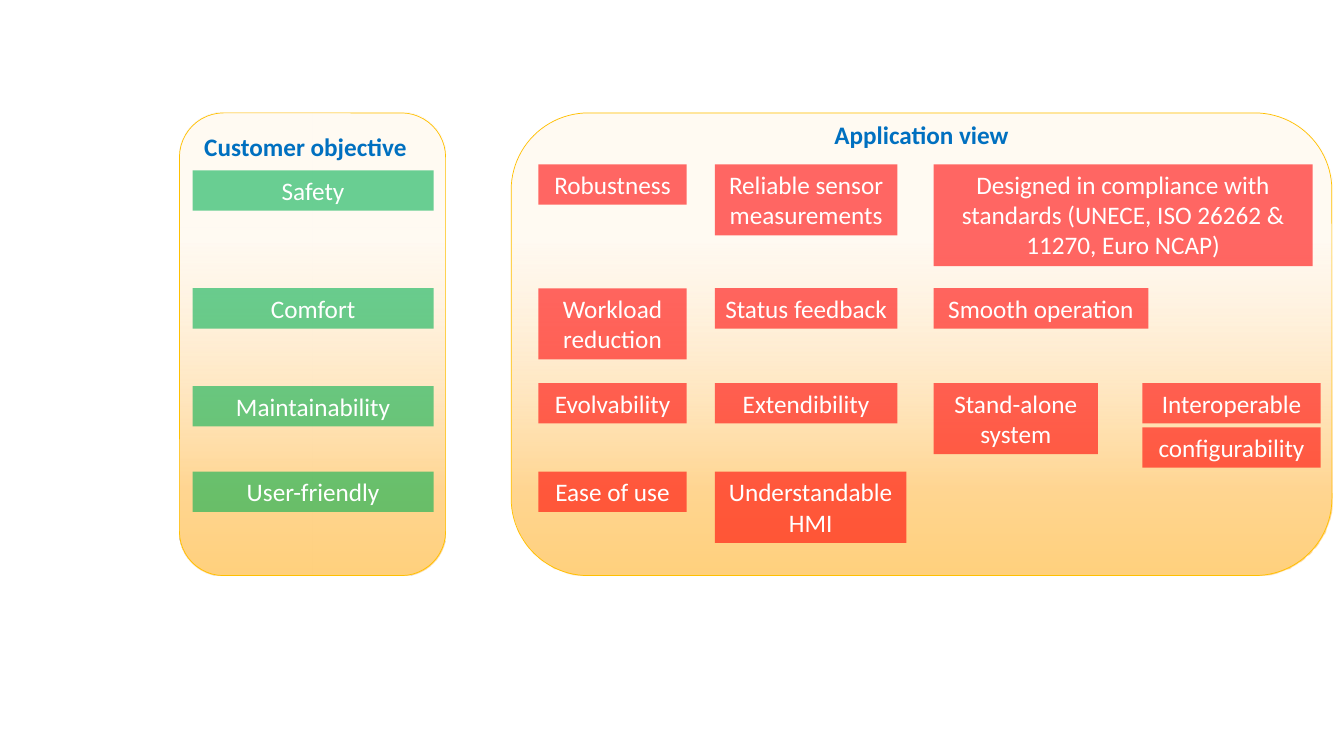
from typing import NamedTuple

from lxml import etree
from pptx import Presentation
from pptx.dml.color import RGBColor
from pptx.enum.shapes import MSO_SHAPE
from pptx.enum.text import MSO_ANCHOR, MSO_AUTO_SIZE, PP_ALIGN
from pptx.oxml.ns import qn
from pptx.util import Inches, Pt

RECT, ROUND = MSO_SHAPE.RECTANGLE, MSO_SHAPE.ROUNDED_RECTANGLE
TOP, CENTER = MSO_ANCHOR.TOP, PP_ALIGN.CENTER
GROW = MSO_AUTO_SIZE.SHAPE_TO_FIT_TEXT

FONT = "Calibri"
WHITE = RGBColor(0xFF, 0xFF, 0xFF)
BLUE = RGBColor(0x00, 0x70, 0xC0)
GOLD = RGBColor(0xFF, 0xC0, 0x00)
GREEN = RGBColor(0x00, 0xB0, 0x50)
RED = RGBColor(0xFF, 0x00, 0x00)
CREAM = RGBColor(0xFF, 0xE7, 0xC4)
SAND = RGBColor(0xFF, 0xD5, 0x90)
AMBER = RGBColor(0xFF, 0xD0, 0x7C)

# Gradient stops: position, colour, opacity (percent)
STOPS = [(28, CREAM, 22), (82, SAND, 100), (100, AMBER, 100)]
PANEL_TOP, PANEL_HEIGHT = 1.12, 4.59
ROWS = [1.63, 2.86, 3.8, 4.68]
COLS = [5.34, 7.09, 9.26, 11.33]
LINE, STEP = 0.4, 0.305


class Panel(NamedTuple):
    left: float
    width: float
    title: str
    title_left: float
    title_top: float
    title_width: float


class Label(NamedTuple):
    text: str
    left: float
    top: float
    width: float
    color: RGBColor = RED
    lines: int = 1


PANELS = [
    Panel(1.78, 2.64, "Customer objective", 1.71, 1.25, 2.64),
    Panel(5.07, 8.14, "Application view", 8, 1.13, 2.28),
]
GOALS = [
    Label(text, 1.91, top, 2.39, GREEN)
    for text, top in [("Safety", 1.69), ("Comfort", 2.86),
                      ("Maintainability", 3.83), ("User-friendly", 4.68)]
]
NEEDS = [
    Label("Robustness", COLS[0], ROWS[0], 1.47),
    Label("Reliable sensor measurements", COLS[1], ROWS[0], 1.81, lines=2),
    Label("Designed in compliance with standards "
          "(UNECE, ISO 26262 & 11270, Euro NCAP)",
          COLS[2], ROWS[0], 3.76, lines=3),
    Label("Workload reduction", COLS[0], ROWS[1], 1.47, lines=2),
    Label("Status feedback", COLS[1], ROWS[1], 1.81),
    Label("Smooth operation", COLS[2], ROWS[1], 2.13),
    Label("Evolvability", COLS[0], ROWS[2], 1.47),
    Label("Extendibility", COLS[1], ROWS[2], 1.81),
    Label("Stand-alone system", COLS[2], ROWS[2], 1.63, lines=2),
    Label("Interoperable", COLS[3], ROWS[2], 1.77),
    Label("configurability", COLS[3], ROWS[2] + 0.44, 1.77),
    Label("Ease of use", COLS[0], ROWS[3], 1.47),
    Label("Understandable HMI", COLS[1], ROWS[3], 1.9, lines=2),
]


def set_alpha(color, percent: int) -> None:
    """Give a colour element its opacity."""
    etree.SubElement(color, qn("a:alpha"), val=str(percent * 1000))


def set_text(shape, text: str, color: RGBColor, bold: bool = False) -> None:
    frame = shape.text_frame
    frame.text = text
    frame.word_wrap = True
    frame.auto_size = GROW
    frame.vertical_anchor = TOP
    para = frame.paragraphs[0]
    para.alignment = CENTER
    font = para.runs[0].font
    font.name, font.size, font.bold = FONT, Pt(18), bold
    font.color.rgb = color


def draw_panel(slide, panel: Panel) -> None:
    shape = slide.shapes.add_shape(
        ROUND, Inches(panel.left), Inches(PANEL_TOP),
        Inches(panel.width), Inches(PANEL_HEIGHT))
    shape.shadow.inherit = False
    shape.line.color.rgb = GOLD
    shape.line.width = Pt(0.5)
    # Gradient from top to bottom
    shape.fill.gradient()
    shape.fill.gradient_angle = 270
    stops = shape.element.spPr.find(".//" + qn("a:gsLst"))
    for stop in list(stops):
        stops.remove(stop)
    for place, color, alpha in STOPS:
        stop = etree.SubElement(stops, qn("a:gs"), pos=str(place * 1000))
        set_alpha(etree.SubElement(stop, qn("a:srgbClr"), val=str(color)), alpha)


def draw_title(slide, panel: Panel) -> None:
    box = slide.shapes.add_textbox(
        Inches(panel.title_left), Inches(panel.title_top),
        Inches(panel.title_width), Inches(LINE))
    set_text(box, panel.title, BLUE, bold=True)


def draw_label(slide, label: Label) -> None:
    height = LINE + STEP * (label.lines - 1)
    shape = slide.shapes.add_shape(
        RECT, Inches(label.left), Inches(label.top),
        Inches(label.width), Inches(height))
    shape.shadow.inherit = False
    shape.line.fill.background()
    shape.fill.solid()
    shape.fill.fore_color.rgb = label.color
    set_alpha(shape.element.spPr.find(qn("a:solidFill"))[0], 59)
    set_text(shape, label.text, WHITE)


deck = Presentation()
deck.slide_width, deck.slide_height = Inches(13.33), Inches(7.5)
slide = deck.slides.add_slide(deck.slide_layouts[6])

# Panels with their headings
for panel in PANELS:
    draw_panel(slide, panel)
    draw_title(slide, panel)

# Objectives and the application needs beside them
for label in GOALS + NEEDS:
    draw_label(slide, label)

deck.save("out.pptx")
